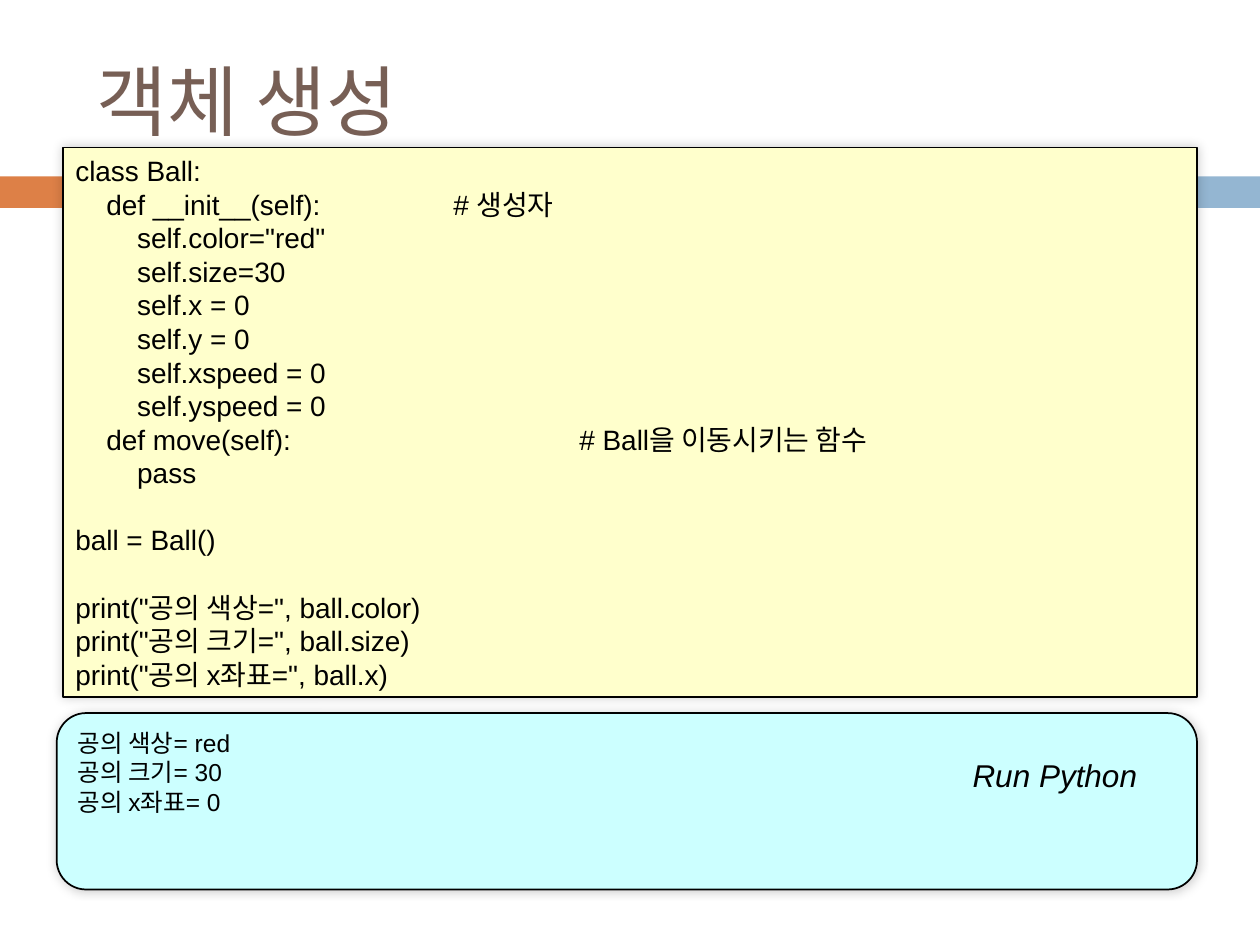
from lxml import etree
from pptx import Presentation
from pptx import util as u
from pptx.dml.color import RGBColor
from pptx.enum import shapes, text
from pptx.oxml.ns import qn

PX = 9144  # EMU per px, 100 px to the inch
COLORS = {
    "orange": "DD8047", "blue": "94B6D2", "title": "775F55",
    "code": "FFFFCC", "output": "CCFFFF", "black": "000000",
}
CODE = '''class Ball:
    def __init__(self):\t\t# 생성자
        self.color="red"
        self.size=30
        self.x = 0
        self.y = 0
        self.xspeed = 0
        self.yspeed = 0
    def move(self):\t\t\t# Ball을 이동시키는 함수
        pass

ball = Ball()

print("공의 색상=", ball.color)
print("공의 크기=", ball.size)
print("공의 x좌표=", ball.x)'''
OUTPUT = "공의 색상= red\n공의 크기= 30\n공의 x좌표= 0"


def color(name):
    return RGBColor.from_string(COLORS[name])


def place(box):
    return [u.Emu(side * PX) for side in box]


def add_panel(page, kind, box, fill):
    panel = page.shapes.add_shape(kind, *place(box))
    panel.shadow.inherit = False
    panel.fill.solid()
    panel.fill.fore_color.rgb = color(fill)
    panel.line.fill.background()
    return panel


def add_outline(panel):
    """Black outline with a soft shadow."""
    panel.line.color.rgb = color("black")
    panel.line.width = u.Pt(1)
    effects = panel._element.spPr.find(qn("a:effectLst"))
    shadow = etree.SubElement(effects, qn("a:outerShdw"), blurRad=str(u.Pt(6)),
                              dist="0", dir="18900000", rotWithShape="0")
    shade = etree.SubElement(shadow, qn("a:srgbClr"), val=COLORS["black"])
    etree.SubElement(shade, qn("a:alpha"), val="20000")


def add_tabs(para, stops):
    tabs = etree.SubElement(para._p.get_or_add_pPr(), qn("a:tabLst"))
    for stop in stops:
        etree.SubElement(tabs, qn("a:tab"), pos=str(stop * PX), algn="l")


def write(shape, words, size, font="Arial", ink="black", italic=False,
          anchor=text.MSO_ANCHOR.TOP, wrap=True, stops=()):
    frame = shape.text_frame
    frame.text = words
    frame.word_wrap = wrap
    frame.vertical_anchor = anchor
    for para in frame.paragraphs:
        para.alignment = text.PP_ALIGN.LEFT
        if stops:
            add_tabs(para, stops)
        para.font.size = u.Pt(size)
        for span in para.runs:
            span.font.name = font
            span.font.size = u.Pt(size)
            span.font.italic = italic
            span.font.color.rgb = color(ink)


def add_band(page, left, top, width, height):
    """Two-coloured band with a narrow gap."""
    tab, gap = 58, 7
    rect = shapes.MSO_SHAPE.RECTANGLE
    add_panel(page, rect, (left, top, tab, height), "orange")
    start = tab + gap
    add_panel(page, rect, (left + start, top, width - start, height), "blue")


def add_title(page, box, words):
    title = page.shapes.add_textbox(*place(box))
    write(title, words, 44, "Cabin", "title", anchor=text.MSO_ANCHOR.MIDDLE)


def add_code(page, box):
    panel = add_panel(page, shapes.MSO_SHAPE.RECTANGLE, box, "code")
    add_outline(panel)
    write(panel, CODE, 16, stops=range(100, 500, 100))


def add_output(page, left, top, width, height):
    """Program output with the caption at its right."""
    panel = add_panel(page, shapes.MSO_SHAPE.FLOWCHART_ALTERNATE_PROCESS,
                      (left, top, width, height), "output")
    add_outline(panel)
    write(panel, OUTPUT, 14)
    caption = page.shapes.add_textbox(
        *place((left + width - 188, top + 29, 152, 40)))
    write(caption, "Run Python", 18, italic=True, wrap=False)


def main():
    deck = Presentation()
    deck.slide_width, deck.slide_height = place((1000, 750))
    page = deck.slides.add_slide(deck.slide_layouts[6])
    add_band(page, 0, 140, 1000, 25)
    add_title(page, (67, 25, 892, 108), "객체 생성")
    add_code(page, (50, 117, 900, 436))
    add_output(page, 45, 566, 905, 140)
    deck.save("out.pptx")


if __name__ == "__main__":
    main()
